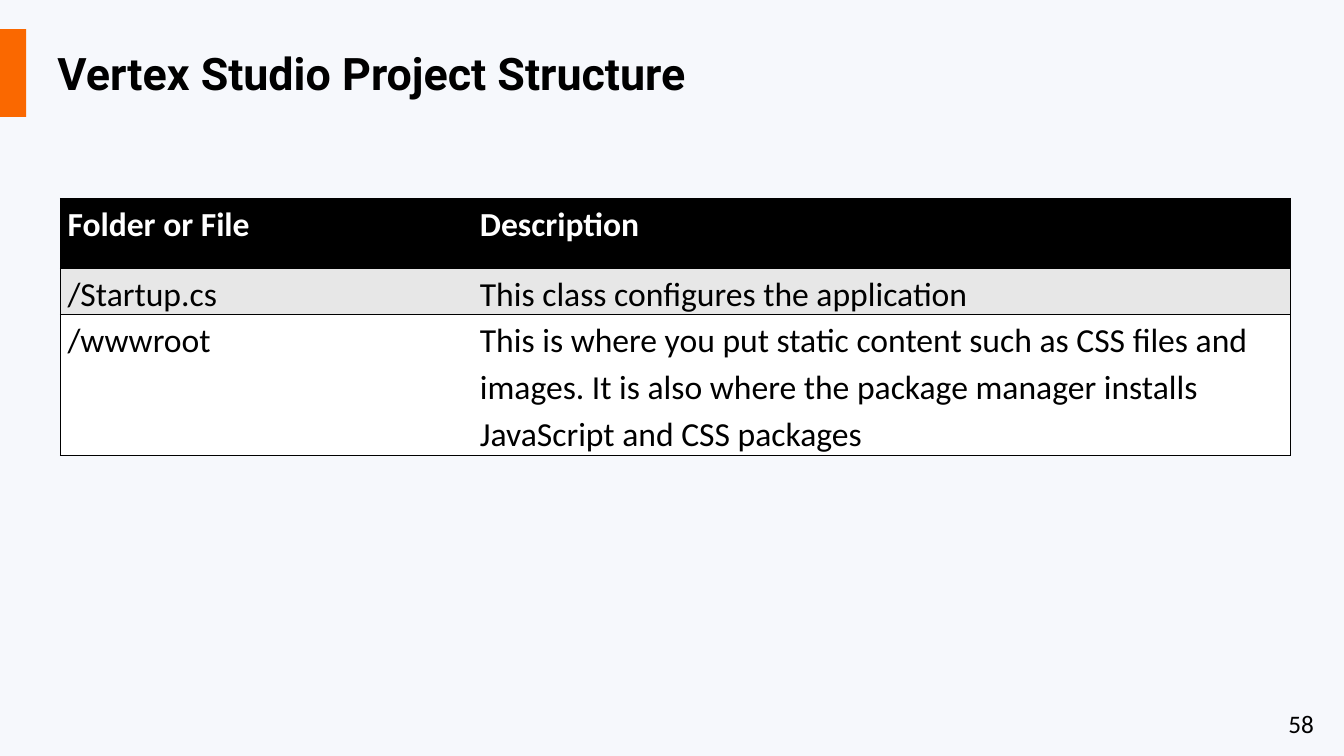
from dataclasses import dataclass

from lxml import etree
from pptx import Presentation
from pptx import util as u
from pptx.dml.color import RGBColor
from pptx.enum import shapes, text
from pptx.oxml import ns


@dataclass(frozen=True)
class Theme:
    """Colours, fonts and type sizes of the slide."""
    backdrop: str = "F6F8FC"
    accent: str = "FA6800"
    ink: str = "000000"
    paper: str = "FFFFFF"
    band: str = "E7E7E7"
    heading_font: str = "Roboto"
    body_font: str = "Calibri"
    title_size: int = 32
    table_size: int = 24
    number_size: int = 18


THEME = Theme()
WIDTH, HEIGHT = u.Inches(13.33), u.Inches(7.5)
COLUMNS = (4.09, 8.11)
ROWS = (0.69, 0.46, 1.4)
ENTRIES = (
    ("Folder or File", "Description"),
    ("/Startup.cs", "This class configures the application"),
    ("/wwwroot", "This is where you put static content such as CSS files and "
                 "images. It is also where the package manager installs "
                 "JavaScript and CSS packages"),
)


def inches(*lengths):
    """Convert lengths in inches to slide units."""
    return [u.Inches(length) for length in lengths]


def paint(fill, colour):
    """Give a fill one solid colour."""
    fill.solid()
    fill.fore_color.rgb = RGBColor.from_string(colour)


def style(paragraph, size, colour, family, bold=False):
    """Set the font of a whole paragraph."""
    font = paragraph.font
    font.size, font.name, font.bold = u.Pt(size), family, bold
    font.color.rgb = RGBColor.from_string(colour)


def add_accent_bar(slide):
    """Draw the bar at the slide's left edge."""
    bar = slide.shapes.add_shape(shapes.MSO_SHAPE.RECTANGLE, *inches(0, 0.29, 0.26, 0.87))
    bar.shadow.inherit = False
    paint(bar.fill, THEME.accent)
    bar.line.fill.background()


def set_title(slide, wording):
    """Place and format the title placeholder."""
    title = slide.shapes.title
    title.left, title.top, title.width, title.height = inches(0.47, 0.29, 9.45, 0.85)
    frame = title.text_frame
    frame.text = wording
    frame.auto_size = text.MSO_AUTO_SIZE.NONE
    frame.vertical_anchor = text.MSO_ANCHOR.MIDDLE
    heading = frame.paragraphs[0]
    heading.alignment = text.PP_ALIGN.LEFT
    style(heading, THEME.title_size, THEME.ink, THEME.heading_font, bold=True)


def add_page_number(slide, number):
    """Write the page number in the lower right corner."""
    frame = slide.shapes.add_textbox(*inches(12.68, 6.98, 0.5, 0.4)).text_frame
    frame.word_wrap = False
    frame.text = str(number)
    style(frame.paragraphs[0], THEME.number_size, THEME.ink, THEME.body_font)


def set_borders(cell, visible):
    """Rule the named sides of a cell and clear the others."""
    properties = cell._tc.get_or_add_tcPr()
    for position, side in enumerate("LRTB"):
        line = etree.Element(ns.qn(f"a:ln{side}"), w=str(u.Pt(1)))
        properties.insert(position, line)
        if side in visible:
            solid = etree.SubElement(line, ns.qn("a:solidFill"))
            etree.SubElement(solid, ns.qn("a:srgbClr"), val=THEME.ink)
        else:
            etree.SubElement(line, ns.qn("a:noFill"))


def fill_cell(cell, wording, background, colour, bold):
    """Write and format one table cell."""
    cell.margin_left = cell.margin_right = u.Inches(0.07)
    cell.margin_top = cell.margin_bottom = 0
    cell.text = wording
    paint(cell.fill, background)
    entry = cell.text_frame.paragraphs[0]
    entry.line_spacing = 1.15
    style(entry, THEME.table_size, colour, THEME.body_font, bold)


def add_structure_table(slide):
    """Build the table of folders and files."""
    table = slide.shapes.add_table(
        len(ROWS), len(COLUMNS), *inches(0.6, 1.97, sum(COLUMNS), sum(ROWS))).table
    table.horz_banding = False
    for column, width in zip(table.columns, COLUMNS):
        column.width = u.Inches(width)
    backgrounds = (THEME.ink, THEME.band, THEME.paper)
    for r, (entries, height, background) in enumerate(zip(ENTRIES, ROWS, backgrounds)):
        table.rows[r].height = u.Inches(height)
        header = r == 0
        for c, (wording, outer_side) in enumerate(zip(entries, "LR")):
            cell = table.cell(r, c)
            fill_cell(cell, wording, background, THEME.paper if header else THEME.ink, header)
            set_borders(cell, outer_side + "TB")
    table.cell(0, 1).text_frame.paragraphs[0].alignment = text.PP_ALIGN.JUSTIFY


def main():
    """Build and save the slide."""
    deck = Presentation()
    deck.slide_width, deck.slide_height = WIDTH, HEIGHT
    slide = deck.slides.add_slide(deck.slide_layouts[5])
    paint(slide.background.fill, THEME.backdrop)
    add_accent_bar(slide)
    add_page_number(slide, 58)
    set_title(slide, "Vertex Studio Project Structure")
    add_structure_table(slide)
    deck.save("out.pptx")


if __name__ == "__main__":
    main()
